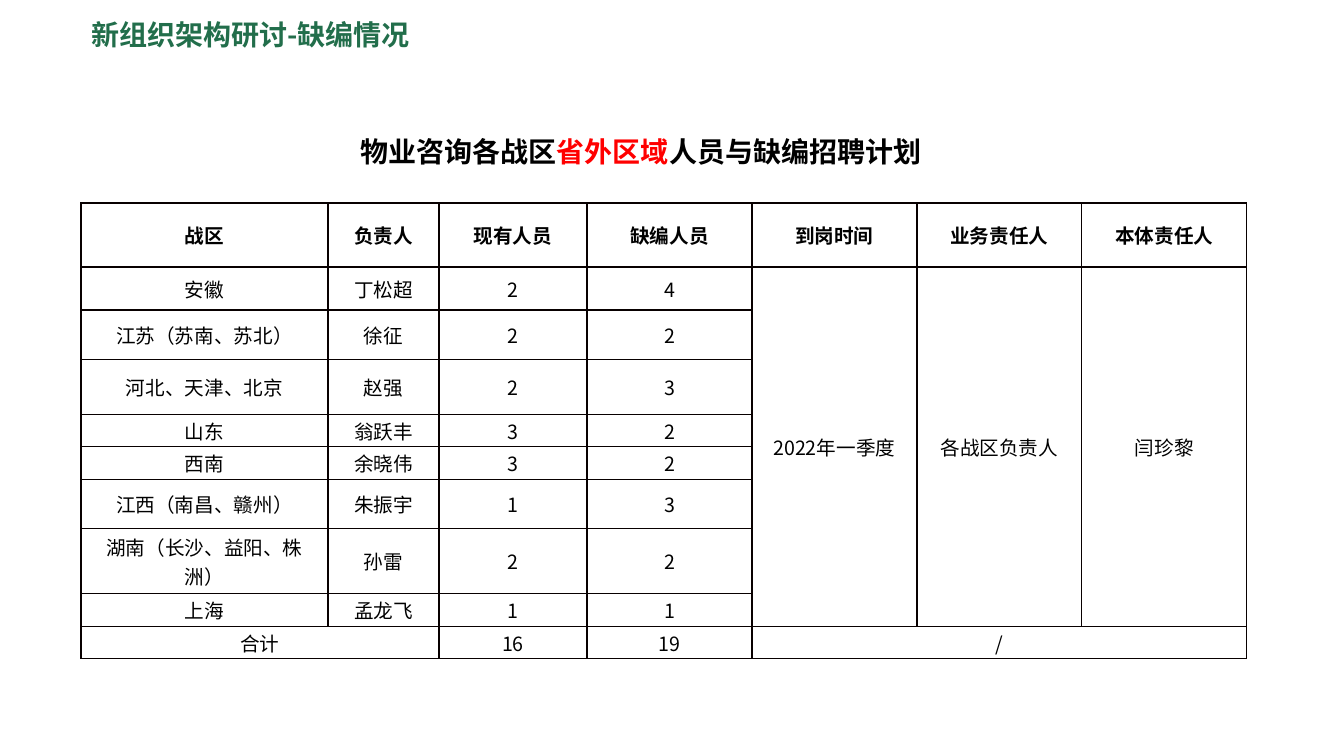
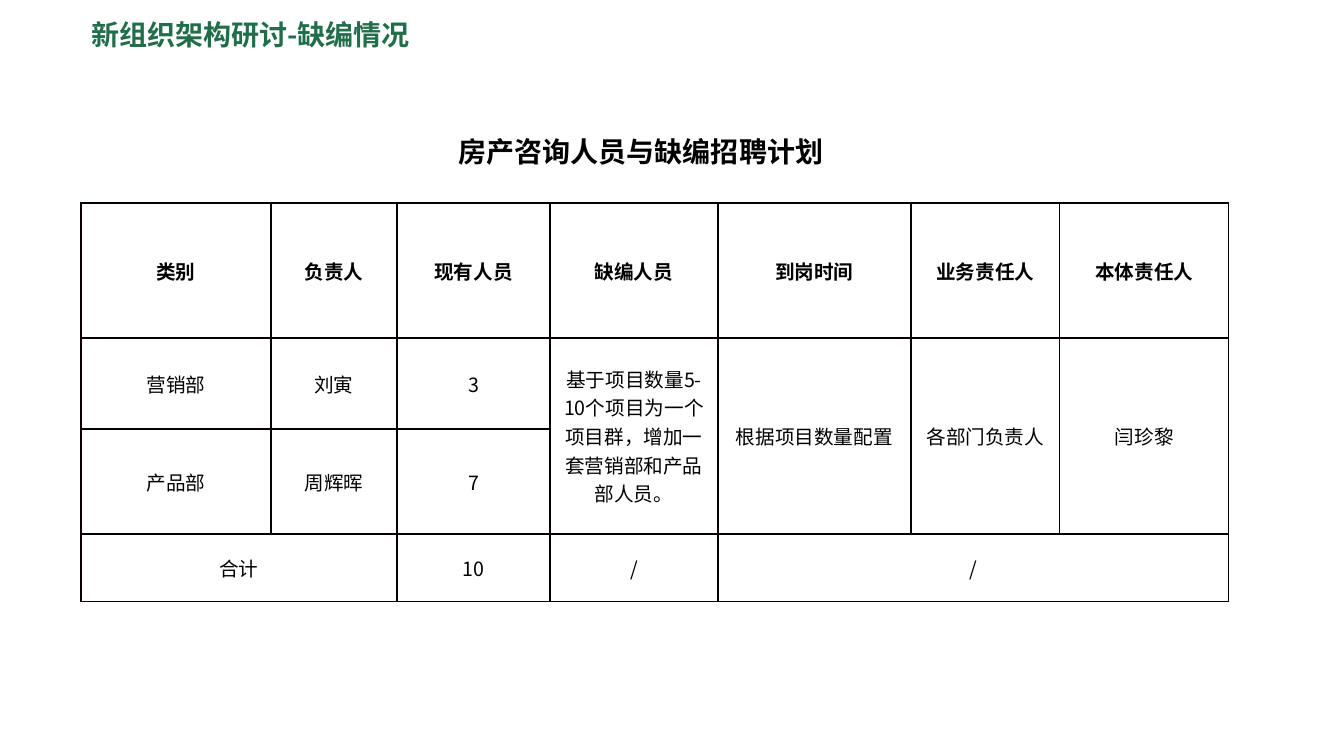
from dataclasses import dataclass

from lxml import etree
from pptx import Presentation
from pptx.dml.color import RGBColor
from pptx.enum.text import MSO_ANCHOR as Anchor, MSO_AUTO_SIZE as AutoSize, PP_ALIGN as Align
from pptx.oxml.ns import qn
from pptx.util import Emu, Pt

EMU_PER_PX = 914400 / 100.8


@dataclass(frozen=True)
class Theme:
    font: str = "Noto Sans CJK SC"
    green: str = "226E4B"
    black: str = "000000"
    red: str = "FF0000"
    border: str = "080000"
    heading_size: int = 20
    table_size: int = 14
    border_width: int = 1


theme = Theme()


def px(length):
    return Emu(round(length * EMU_PER_PX))


def write(frame, text, size=theme.table_size, color=theme.black, bold=False, align=Align.CENTER):
    """Append a run to the first paragraph of a text frame."""
    paragraph = frame.paragraphs[0]
    paragraph.alignment = align
    run = paragraph.add_run()
    run.text = text
    run.font.size = Pt(size)
    run.font.bold = bold
    run.font.color.rgb = RGBColor.from_string(color)
    run.font.name = theme.font
    # East Asian text needs its own typeface element
    etree.SubElement(run._r.get_or_add_rPr(), qn("a:ea"), typeface=theme.font)


# Shared content
TITLE = "新组织架构研讨-缺编情况"
SHARED_HEADERS = ["负责人", "现有人员", "缺编人员", "到岗时间", "业务责任人", "本体责任人"]
TITLE_BOX = (81, 12, 370, 44)
CAPTION_BOX = (278, 129, 726, 44)
TABLE_LEFT, TABLE_TOP = 81, 203
CELL_INSET = 7

# Content of each slide; merges are (first row, first column, last row, last column)
plans = [
    {
        "caption": [("物业咨询各战区", theme.black), ("省外区域", theme.red),
                    ("人员与缺编招聘计划", theme.black)],
        "columns": [247, 111, 148, 165, 165, 165, 165],
        "heights": [64, 43, 50, 55, 32, 33, 49, 65, 33, 32],
        "rows": [
            ["战区", *SHARED_HEADERS],
            ["安徽", "丁松超", "2", "4", "2022年一季度", "各战区负责人", "闫珍黎"],
            ["江苏（苏南、苏北）", "徐征", "2", "2"],
            ["河北、天津、北京", "赵强", "2", "3"],
            ["山东", "翁跃丰", "3", "2"],
            ["西南", "余晓伟", "3", "2"],
            ["江西（南昌、赣州）", "朱振宇", "1", "3"],
            ["湖南（长沙、益阳、株洲）", "孙雷", "2", "2"],
            ["上海", "孟龙飞", "1", "1"],
            ["合计", None, "16", "19", "/"],
        ],
        "merges": [(1, 4, 8, 4), (1, 5, 8, 5), (1, 6, 8, 6), (9, 0, 9, 1), (9, 4, 9, 6)],
    },
    {
        "caption": [("房产咨询人员与缺编招聘计划", theme.black)],
        "columns": [190, 126, 153, 168, 193, 149, 169],
        "heights": [135, 91, 105, 68],
        "rows": [
            ["类别", *SHARED_HEADERS],
            ["营销部", "刘寅", "3", "基于项目数量5-10个项目为一个项目群，增加一套营销部和产品部人员。",
             "根据项目数量配置", "各部门负责人", "闫珍黎"],
            ["产品部", "周辉晖", "7"],
            ["合计", None, "10", "/", "/"],
        ],
        "merges": [(1, 3, 2, 3), (1, 4, 2, 4), (1, 5, 2, 5), (1, 6, 2, 6),
                   (3, 0, 3, 1), (3, 4, 3, 6)],
    },
]

presentation = Presentation()
presentation.slide_width = px(1344)
presentation.slide_height = px(756)
title_only = presentation.slide_layouts[5]

for plan in plans:
    slide = presentation.slides.add_slide(title_only)

    # Title and caption
    title = slide.shapes.title
    title.left, title.top, title.width, title.height = map(px, TITLE_BOX)
    caption = slide.shapes.add_textbox(*map(px, CAPTION_BOX))
    for shape in (title, caption):
        frame = shape.text_frame
        frame.word_wrap = True
        frame.auto_size = AutoSize.NONE
        frame.vertical_anchor = Anchor.MIDDLE
        frame.margin_top = frame.margin_bottom = 0
    write(title.text_frame, TITLE, size=theme.heading_size, color=theme.green,
          bold=True, align=Align.LEFT)
    for text, color in plan["caption"]:
        write(caption.text_frame, text, size=theme.heading_size, color=color, bold=True)

    # Table grid
    columns, heights = plan["columns"], plan["heights"]
    table = slide.shapes.add_table(
        len(heights), len(columns), px(TABLE_LEFT), px(TABLE_TOP),
        px(sum(columns)), px(sum(heights))).table
    table.first_row = table.horz_banding = False
    for column, width in zip(table.columns, columns):
        column.width = px(width)
    for row, height in zip(table.rows, heights):
        row.height = px(height)

    # Cell borders, fill and margins
    for cell in table.iter_cells():
        properties = cell._tc.get_or_add_tcPr()
        for side in ("a:lnL", "a:lnR", "a:lnT", "a:lnB"):
            line = etree.SubElement(properties, qn(side), w=str(Pt(theme.border_width)))
            line_fill = etree.SubElement(line, qn("a:solidFill"))
            etree.SubElement(line_fill, qn("a:srgbClr"), val=theme.border)
        cell.fill.background()
        cell.vertical_anchor = Anchor.MIDDLE
        cell.margin_left = cell.margin_right = px(CELL_INSET)
        cell.margin_top = cell.margin_bottom = 0

    # Merged areas and cell text
    for top, left, bottom, right in plan["merges"]:
        table.cell(top, left).merge(table.cell(bottom, right))
    for row_index, values in enumerate(plan["rows"]):
        for column_index, value in enumerate(values):
            if value:
                write(table.cell(row_index, column_index).text_frame, value,
                      bold=row_index == 0)

presentation.save("out.pptx")
